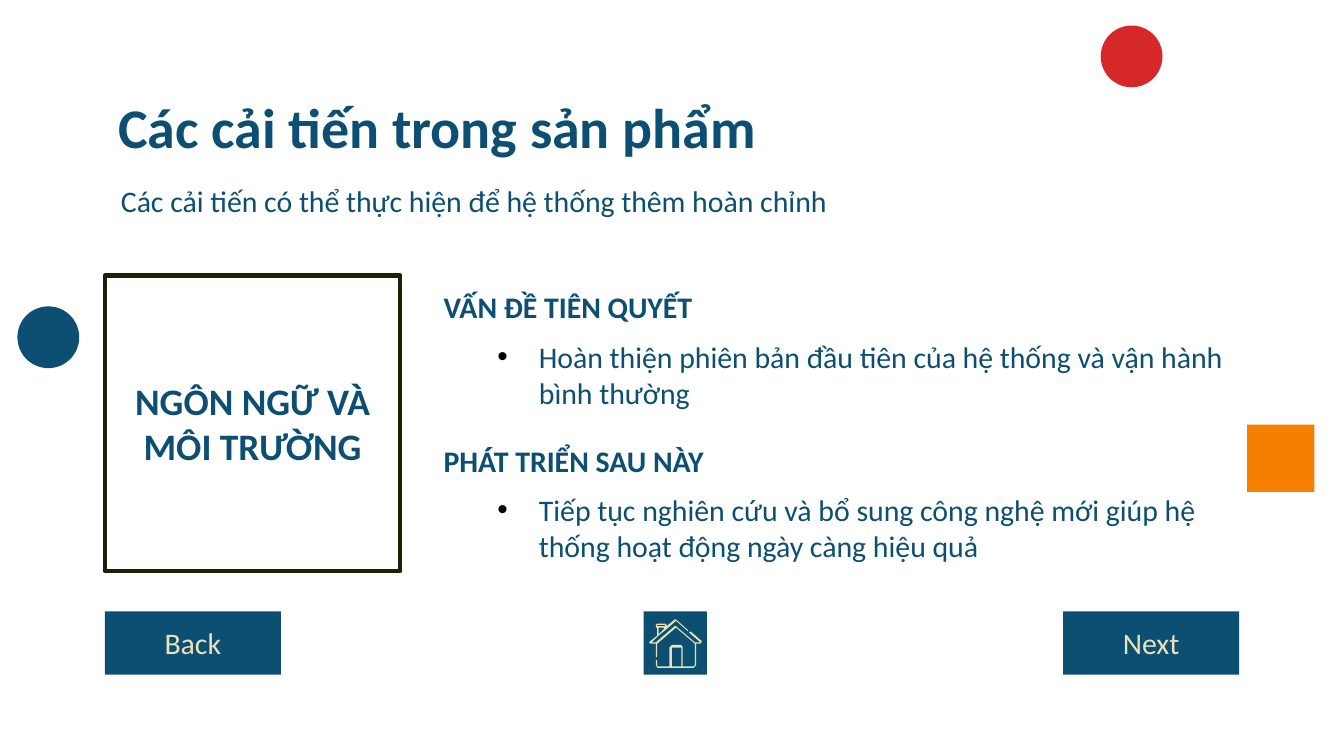
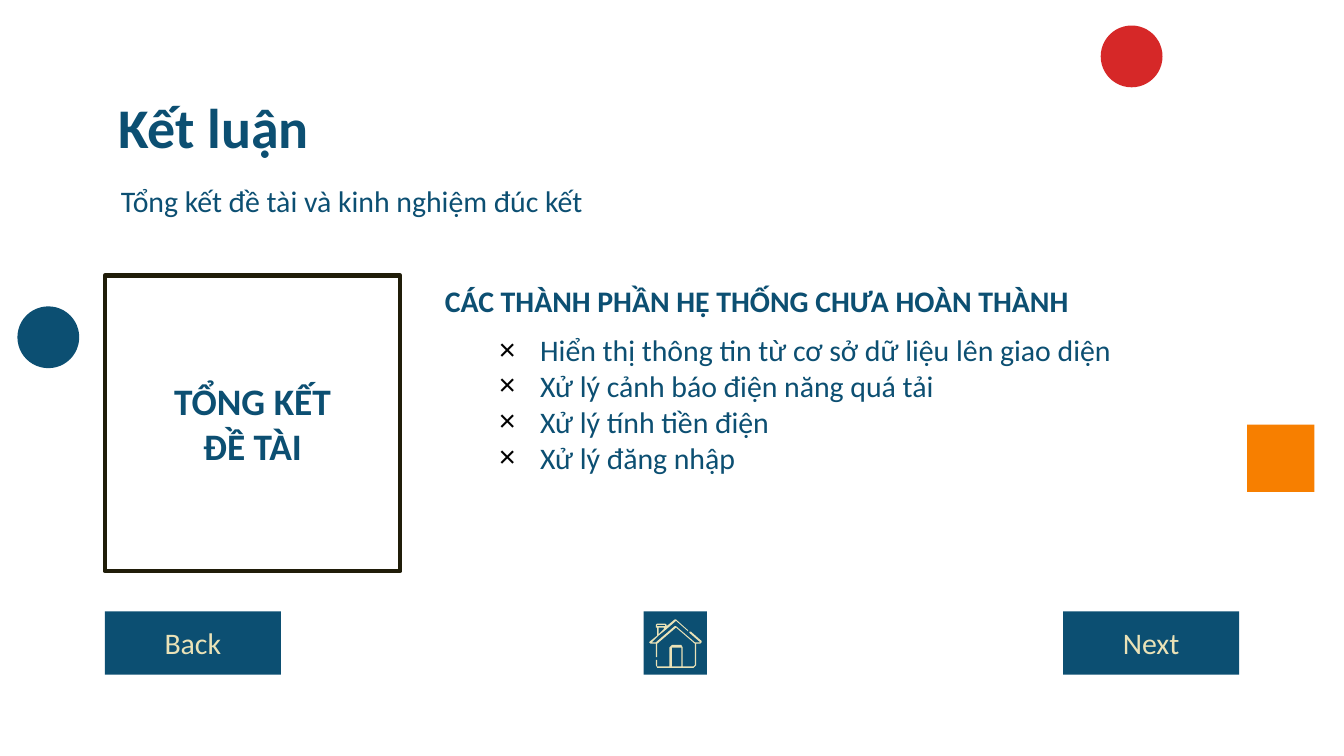
from dataclasses import dataclass

from lxml import etree
from pptx import Presentation
from pptx.dml.color import RGBColor
from pptx.enum.shapes import MSO_SHAPE
from pptx.enum.text import MSO_ANCHOR, MSO_AUTO_SIZE, PP_ALIGN
from pptx.oxml.ns import qn
from pptx.util import Inches, Pt

RECTANGLE, OVAL = MSO_SHAPE.RECTANGLE, MSO_SHAPE.OVAL
TOP, MIDDLE = MSO_ANCHOR.TOP, MSO_ANCHOR.MIDDLE
LEFT, CENTER = PP_ALIGN.LEFT, PP_ALIGN.CENTER
NO_AUTOFIT = MSO_AUTO_SIZE.NONE


@dataclass(frozen=True)
class Theme:
    font: str = "Calibri"
    bullet_font: str = "Arial"
    navy: str = "0C4F72"
    cream: str = "EAE2B7"
    orange: str = "F77F00"
    red: str = "D62828"
    frame: str = "201D09"
    bullet: str = "000000"
    title_size: int = 30
    panel_size: int = 20
    body_size: int = 16
    frame_width: float = 2.25


THEME = Theme()
WIDTH = 10
HEIGHT = WIDTH * 9 / 16
MARGIN = 0.78
CONTENT_WIDTH = WIDTH - 2 * MARGIN
TITLE_TOP, TITLE_HEIGHT, SUBTITLE_HEIGHT = 0.59, 0.63, 0.54
PANEL_TOP, PANEL_SIZE = 2.05, 2.2
HEADING_HEIGHT, LINE_HEIGHT = 0.37, 0.27
LIST_SHIFT, BULLET_INDENT = 0.4, 0.31
SECTION_STEP = 1.14
BUTTON_TOP, BUTTON_WIDTH, BUTTON_HEIGHT = 4.55, 1.31, 0.47
HOME_LEFT = 4.79
ICON_LEFT, ICON_TOP, ICON_UNITS = 4.83, 4.61, 100

HOUSE_CONTOURS = [
    [(12, 4), (12, 5), (6, 5), (6, 4)],
    [(11, 6), (11, 7), (7, 11), (7, 6)],
    [(24, 21), (24, 35), (17, 35), (17, 21)],
    [(20, 0), (19, 0), (13, 5), (13, 4), (12, 3), (6, 3), (5, 4), (5, 6),
     (6, 6), (6, 12), (1, 16), (0, 17), (1, 18), (5, 18), (5, 28), (6, 28),
     (6, 18), (20, 6), (34, 18), (34, 34), (33, 35), (25, 35), (25, 21),
     (24, 19), (17, 19), (15, 21), (15, 35), (6, 35), (6, 30), (5, 30),
     (5, 34), (6, 36), (33, 36), (35, 34), (35, 18), (38, 18), (39, 17),
     (39, 16), (31, 9), (30, 9), (30, 10), (38, 17), (34, 17), (20, 5),
     (19, 5), (5, 17), (2, 17), (7, 12), (12, 8), (20, 1), (28, 8),
     (29, 9), (29, 8)],
]


def color(value):
    return RGBColor.from_string(value)


def place(shape, left, top, width, height):
    shape.left, shape.top = Inches(left), Inches(top)
    shape.width, shape.height = Inches(width), Inches(height)


def add_bullet(paragraph, character):
    properties = paragraph._p.get_or_add_pPr()
    properties.set("marL", str(Inches(BULLET_INDENT)))
    properties.set("indent", str(-Inches(BULLET_INDENT)))
    bullet_color = etree.SubElement(properties, qn("a:buClr"))
    etree.SubElement(bullet_color, qn("a:srgbClr"), val=THEME.bullet)
    etree.SubElement(properties, qn("a:buFont"), typeface=THEME.bullet_font)
    etree.SubElement(properties, qn("a:buChar"), char=character)


def write(shape, lines, size=THEME.body_size, ink=THEME.navy, bold=False,
          align=LEFT, anchor=TOP, inset=0.05, bullet=None):
    frame = shape.text_frame
    frame.text = "\n".join(lines)
    frame.word_wrap = True
    frame.auto_size = NO_AUTOFIT
    frame.vertical_anchor = anchor
    frame.margin_left = frame.margin_right = Inches(0.1)
    frame.margin_top = frame.margin_bottom = Inches(inset)
    for paragraph in frame.paragraphs:
        if bullet:
            add_bullet(paragraph, bullet)
        paragraph.alignment = align
        paragraph.space_before = Pt(0)
        paragraph.font.name = THEME.font
        paragraph.font.size = Pt(size)
        paragraph.font.bold = bold
        paragraph.font.color.rgb = color(ink)


def add_block(slide, kind, left, top, width, height, fill=None):
    shape = slide.shapes.add_shape(
        kind, Inches(left), Inches(top), Inches(width), Inches(height))
    shape.shadow.inherit = False
    if fill:
        shape.fill.solid()
        shape.fill.fore_color.rgb = color(fill)
    else:
        shape.fill.background()
    shape.line.fill.background()
    return shape


def add_master_ornaments(presentation, slide):
    ornaments = [
        add_block(slide, RECTANGLE, 9.28, 3.16, 0.5, 0.5, THEME.orange),
        add_block(slide, OVAL, 0.13, 2.28, 0.46, 0.46, THEME.navy),
        add_block(slide, OVAL, 8.19, 0.19, 0.46, 0.46, THEME.red),
    ]
    for ornament in ornaments:
        presentation.slide_master.shapes.element.append(ornament.element)


def add_header(slide, title, subtitle):
    heading = slide.shapes.title
    place(heading, MARGIN, TITLE_TOP, CONTENT_WIDTH, TITLE_HEIGHT)
    write(heading, [title], THEME.title_size, bold=True, inset=0.1)
    box = slide.shapes.add_textbox(0, 0, 0, 0)
    place(box, MARGIN, TITLE_TOP + TITLE_HEIGHT, CONTENT_WIDTH, SUBTITLE_HEIGHT)
    write(box, [subtitle], anchor=MIDDLE, inset=0.1)
    box.text_frame.margin_left = Inches(0.12)


def add_button(slide, left, label):
    button = add_block(slide, RECTANGLE, left, BUTTON_TOP,
                       BUTTON_WIDTH, BUTTON_HEIGHT, THEME.navy)
    write(button, [label], ink=THEME.cream, align=CENTER, anchor=MIDDLE,
          inset=0.1)


def add_home_button(slide):
    add_block(slide, RECTANGLE, HOME_LEFT, BUTTON_TOP,
              BUTTON_HEIGHT, BUTTON_HEIGHT, THEME.navy)
    builder = slide.shapes.build_freeform(scale=Inches(1) / ICON_UNITS)
    for start, *points in HOUSE_CONTOURS:
        builder.move_to(*start)
        builder.add_line_segments(points, close=True)
    house = builder.convert_to_shape(Inches(ICON_LEFT), Inches(ICON_TOP))
    house.shadow.inherit = False
    house.fill.solid()
    house.fill.fore_color.rgb = color(THEME.cream)
    house.line.fill.background()


def add_navigation(slide):
    add_button(slide, MARGIN, "Back")
    add_home_button(slide)
    add_button(slide, WIDTH - MARGIN - BUTTON_WIDTH, "Next")


def add_panel(slide, lines):
    panel = add_block(slide, RECTANGLE, MARGIN, PANEL_TOP, PANEL_SIZE, PANEL_SIZE)
    panel.line.color.rgb = color(THEME.frame)
    panel.line.width = Pt(THEME.frame_width)
    write(panel, lines, THEME.panel_size, bold=True, align=CENTER,
          anchor=MIDDLE, inset=0.1)


def fill_sections(slide, left, top, sections, bullet, rows):
    bodies = list(slide.placeholders)[1:5]
    for index, (heading, items) in enumerate(sections):
        heading_body, list_body = bodies[2 * index:2 * index + 2]
        section_top = top + index * SECTION_STEP
        list_left = left + LIST_SHIFT
        place(heading_body, left, section_top,
              WIDTH - MARGIN - left, HEADING_HEIGHT)
        write(heading_body, [heading], bold=True)
        place(list_body, list_left, section_top + HEADING_HEIGHT,
              WIDTH - MARGIN - list_left, rows * LINE_HEIGHT + 0.1)
        write(list_body, items, bullet=bullet)
    for unused in bodies[2 * len(sections):]:
        unused.element.getparent().remove(unused.element)


def add_content_slide(slide, title, subtitle, panel, **content):
    add_header(slide, title, subtitle)
    add_navigation(slide)
    add_panel(slide, panel)
    fill_sections(slide, **content)


def main():
    presentation = Presentation()
    presentation.slide_width = Inches(WIDTH)
    presentation.slide_height = Inches(HEIGHT)
    comparison = presentation.slide_layouts.get_by_name("Comparison")

    improvements = presentation.slides.add_slide(comparison)
    add_master_ornaments(presentation, improvements)
    add_content_slide(
        improvements,
        "Các cải tiến trong sản phẩm",
        "Các cải tiến có thể thực hiện để hệ thống thêm hoàn chỉnh",
        ["NGÔN NGỮ VÀ MÔI TRƯỜNG"],
        left=3.2, top=2.1, bullet="•", rows=2,
        sections=[
            ("VẤN ĐỀ TIÊN QUYẾT",
             ["Hoàn thiện phiên bản đầu tiên của hệ thống và vận hành "
              "bình thường"]),
            ("PHÁT TRIỂN SAU NÀY",
             ["Tiếp tục nghiên cứu và bổ sung công nghệ mới giúp hệ thống "
              "hoạt động ngày càng hiệu quả"]),
        ])

    conclusion = presentation.slides.add_slide(comparison)
    add_content_slide(
        conclusion,
        "Kết luận",
        "Tổng kết đề tài và kinh nghiệm đúc kết",
        ["TỔNG KẾT", "ĐỀ TÀI"],
        left=3.21, top=PANEL_TOP, bullet="×", rows=4,
        sections=[
            ("CÁC THÀNH PHẦN HỆ THỐNG CHƯA HOÀN THÀNH",
             ["Hiển thị thông tin từ cơ sở dữ liệu lên giao diện",
              "Xử lý cảnh báo điện năng quá tải",
              "Xử lý tính tiền điện",
              "Xử lý đăng nhập"]),
        ])

    presentation.save("out.pptx")


main()
